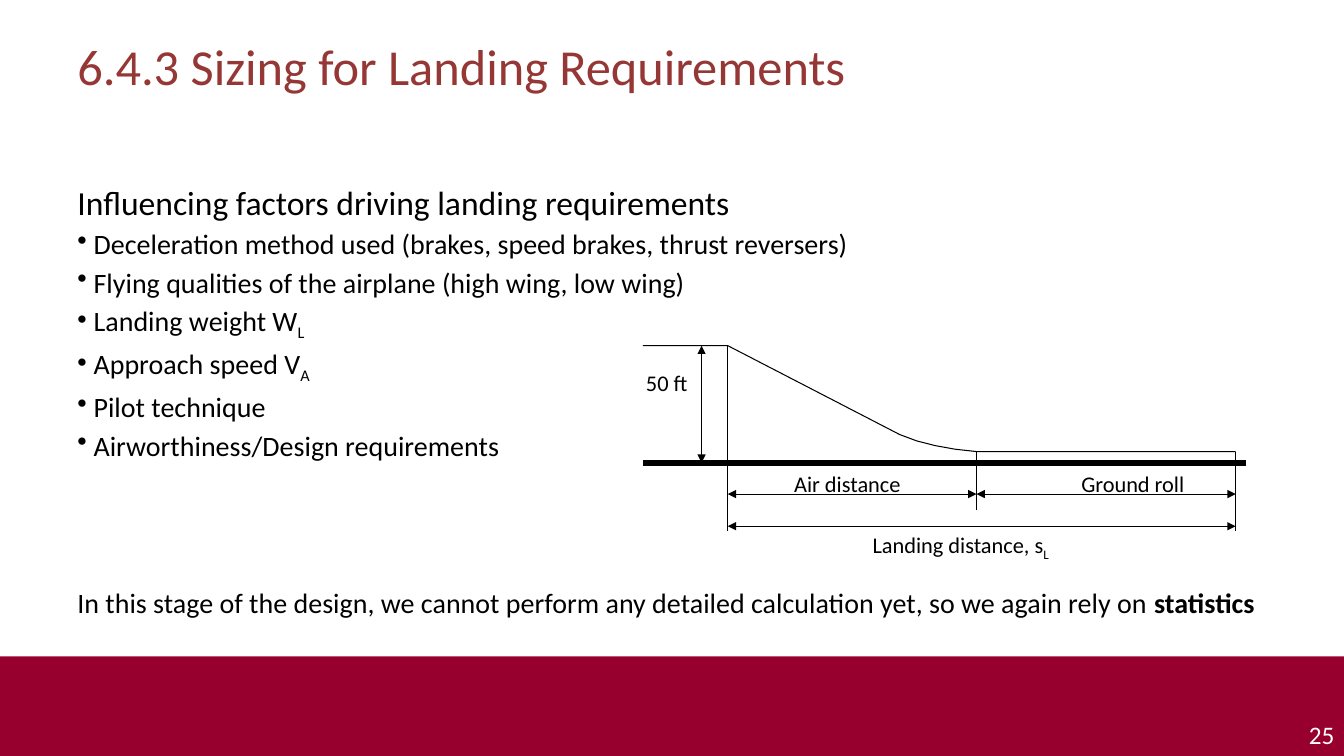
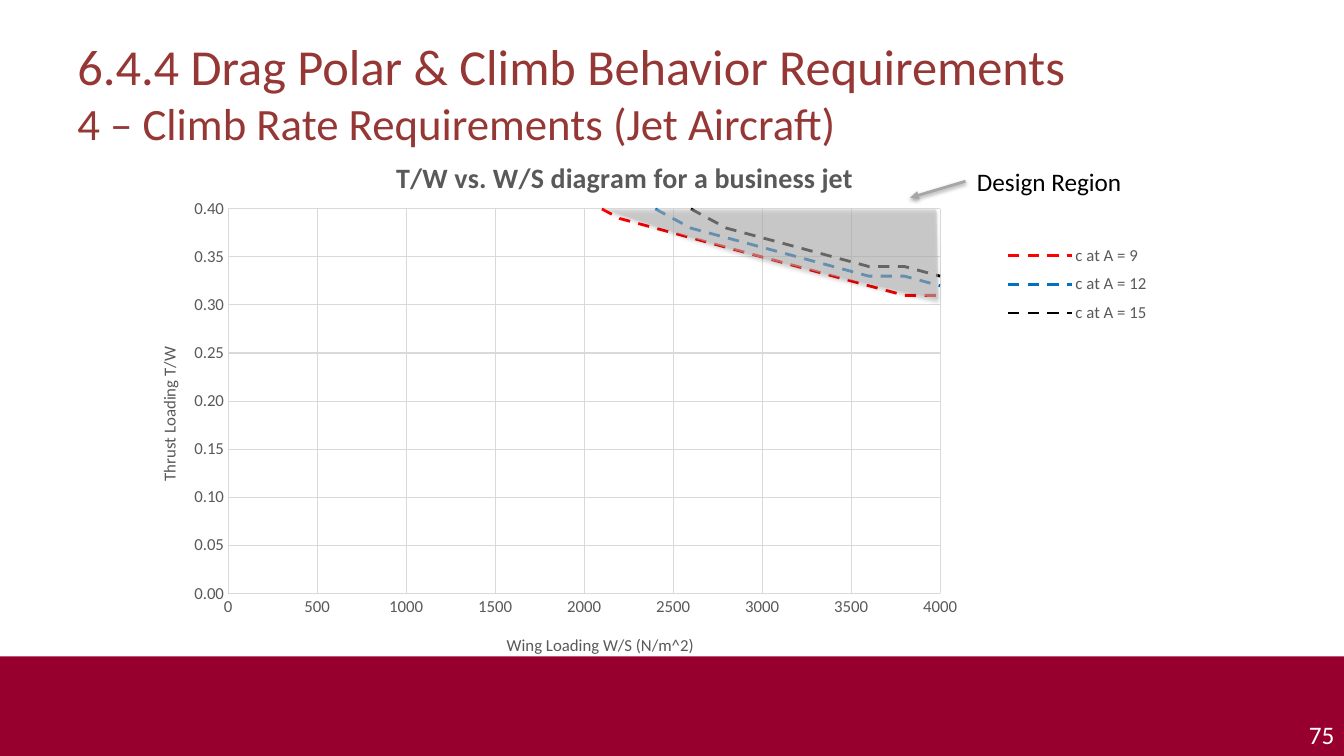
from dataclasses import dataclass

from lxml import etree
from pptx import Presentation
from pptx.chart.data import XyChartData
from pptx.dml.color import RGBColor as RGB
from pptx.enum.chart import XL_CHART_TYPE as Kind, XL_LEGEND_POSITION as Side, XL_TICK_MARK as Tick
from pptx.enum.dml import MSO_LINE as Dash
from pptx.enum.shapes import MSO_CONNECTOR as Conn, MSO_SHAPE as Form
from pptx.enum.text import PP_ALIGN as Align
from pptx.oxml.ns import qn
from pptx.util import Cm, Pt


@dataclass(frozen=True)
class Theme:
    font: str = "Calibri"
    band: str = "97002E"
    title: str = "953735"
    ink: str = "000000"
    white: str = "FFFFFF"
    soft: str = "595959"
    grid: str = "D9D9D9"
    arrow: str = "A6A6A6"
    shade: str = "BFBFBF"
    head: int = 36
    sub: int = 32
    lead: int = 24
    body: int = 20
    note: int = 18
    label: int = 16
    axis: int = 12
    thin: float = 0.75


T = Theme()


def text(slide, box, *paras, align=Align.LEFT, **form):
    """Each paragraph is a tuple of runs; a run is a string or (string, format changes)."""
    shape = slide.shapes.add_textbox(*map(Cm, box))
    frame = shape.text_frame
    frame.word_wrap = True
    for i, runs in enumerate(paras):
        para = frame.paragraphs[0] if i == 0 else frame.add_paragraph()
        para.alignment = align
        for item in runs:
            words, more = (item, {}) if isinstance(item, str) else item
            look = {"size": T.body, "color": T.ink, "bold": False, "low": False} | form | more
            run = para.add_run()
            run.text = words
            font = run.font
            font.name, font.size, font.bold = T.font, Pt(look["size"]), look["bold"]
            font.color.rgb = RGB.from_string(look["color"])
            if look["low"]:
                run._r.get_or_add_rPr().set("baseline", "-25000")
    return shape


def line(slide, x1, y1, x2, y2, width=T.thin, color=T.ink, ends=()):
    """Ends holds headEnd and/or tailEnd, the ends that carry an arrowhead."""
    link = slide.shapes.add_connector(Conn.STRAIGHT, Cm(x1), Cm(y1), Cm(x2), Cm(y2))
    link.line.width = Pt(width)
    link.line.color.rgb = RGB.from_string(color)
    for end in ends:
        etree.SubElement(link.line._get_or_add_ln(), qn("a:" + end)).set("type", "triangle")
    etree.SubElement(link._element.spPr, qn("a:effectLst"))
    return link


deck = Presentation()
deck.slide_width, deck.slide_height = Cm(33.87), Cm(19.05)

# Band, page number and title
pages = []
for num, head in (
    ("25", [("6.4.3 Sizing for Landing Requirements",)]),
    ("75", [("6.4.4 Drag Polar & Climb Behavior Requirements",),
            (("4 – Climb Rate Requirements (Jet Aircraft)", {"size": T.sub}),)]),
):
    page = deck.slides.add_slide(deck.slide_layouts[6])
    band = page.shapes.add_shape(Form.RECTANGLE, 0, Cm(16.54), deck.slide_width, Cm(2.51))
    band.fill.solid()
    band.fill.fore_color.rgb = RGB.from_string(T.band)
    band.line.fill.background()
    band.shadow.inherit = False
    text(page, (32.08, 18.01, 1.8, 1.02), (num,), size=T.note, color=T.white, align=Align.RIGHT)
    text(page, (1.7, 0.76, 30.48, 3.18), *head, size=T.head, color=T.title)
    pages.append(page)
land, climb = pages

# Landing factors
body = text(
    land, (1.7, 4.45, 30.48, 11.4),
    (("Influencing factors driving landing requirements", {"size": T.lead}),),
    ("Deceleration method used (brakes, speed brakes, thrust reversers)",),
    ("Flying qualities of the airplane (high wing, low wing)",),
    ("Landing weight W", ("L", {"low": True})),
    ("Approach speed V", ("A", {"low": True})),
    ("Pilot technique",),
    ("Airworthiness/Design requirements",),
    ("In this stage of the design, we cannot perform any detailed calculation yet, "
     "so we again rely on ", ("statistics", {"bold": True})),
)
paras = body.text_frame.paragraphs
for para in paras[1:-1]:
    para.space_before = Pt(3.5)
    props = para._p.get_or_add_pPr()
    props.set("marL", str(Cm(0.41)))
    props.set("indent", str(Cm(-0.41)))
    etree.SubElement(props, qn("a:buChar")).set("char", "•")
paras[-1].space_before = Pt(88)

# Landing path
left, start, touch, stop = 16.2, 18.34, 24.61, 31.14
top, roll, ground = 8.71, 11.38, 11.66
air, total = 12.45, 13.26
both = ("headEnd", "tailEnd")
line(land, left, ground, 31.4, ground, width=4.5)
track = [(start, top), (22.67, 10.95), (23.1, 11.11), (23.57, 11.23),
         (24.07, 11.32), (touch, roll), (stop, roll)]
build = land.shapes.build_freeform(Cm(left), Cm(top))
build.add_line_segments([(Cm(x), Cm(y)) for x, y in track], close=False)
path = build.convert_to_shape()
path.fill.background()
path.line.color.rgb = RGB.from_string(T.ink)
path.line.width = Pt(T.thin)
path.shadow.inherit = False
for x, y1, y2 in ((start, top, 13.39), (touch, roll, 12.85), (stop, roll, 13.39)):
    line(land, x, y1, x, y2)
for span in ((stop, air, touch, air), (touch, air, start, air),
             (stop, total, start, total), (17.68, top, 17.68, ground)):
    line(land, *span, ends=both)
for box, runs, align in (
    ((27, 11.71, 3.15, 0.94), ("Ground roll",), Align.LEFT),
    ((19.74, 11.71, 3.23, 0.94), ("Air distance",), Align.CENTER),
    ((21.74, 13.26, 5.2, 0.94), ("Landing distance, s", ("L", {"low": True})), Align.LEFT),
    ((16.03, 9.17, 1.8, 0.94), ("50 ft",), Align.LEFT),
):
    text(land, box, runs, size=T.label, align=align)

# Climb chart
curves = (
    ("c at A = 9", "FF0000", (1.18, 0.85, 0.7, 0.62, 0.56, 0.51, 0.48, 0.45, 0.43, 0.41,
                              0.39, 0.38, 0.37, 0.36, 0.35, 0.34, 0.33, 0.32, 0.31, 0.31)),
    ("c at A = 12", "0070C0", (1.25, 0.9, 0.74, 0.65, 0.59, 0.54, 0.5, 0.47, 0.45, 0.43,
                               0.41, 0.4, 0.38, 0.37, 0.36, 0.35, 0.34, 0.33, 0.33, 0.32)),
    ("c at A = 15", "000000", (1.32, 0.94, 0.78, 0.68, 0.61, 0.56, 0.52, 0.49, 0.47, 0.45,
                               0.43, 0.41, 0.4, 0.38, 0.37, 0.36, 0.35, 0.34, 0.34, 0.33)),
)
data = XyChartData()
for name, _, vals in curves:
    row = data.add_series(name)
    for x, y in zip(range(200, 4001, 200), vals):
        row.add_data_point(x, y)
chart = climb.shapes.add_chart(Kind.XY_SCATTER_SMOOTH_NO_MARKERS, Cm(2.77), Cm(3.25),
                               Cm(28.35), Cm(15.04), data).chart
plot = chart.plots[0]
plot.vary_by_categories = False
for row, (_, color, _) in zip(plot.series, curves):
    row.smooth = True
    row.format.line.color.rgb = RGB.from_string(color)
    row.format.line.width = Pt(2)
    row.format.line.dash_style = Dash.DASH

chart.has_title = chart.has_legend = True
key = chart.legend
key.position, key.include_in_layout = Side.RIGHT, False
across, up = chart.category_axis, chart.value_axis
fonts = [chart.font, key.font]
for axis, peak, step, code in ((across, 4000, 500, "0"), (up, 0.4, 0.05, "0.00")):
    axis.minimum_scale, axis.maximum_scale, axis.major_unit = 0, peak, step
    axis.major_tick_mark = axis.minor_tick_mark = Tick.NONE
    axis.has_major_gridlines = axis.has_title = True
    axis.major_gridlines.format.line.color.rgb = RGB.from_string(T.grid)
    axis.major_gridlines.format.line.width = Pt(T.thin)
    axis.format.line.fill.background()
    axis.tick_labels.number_format = code
    axis.tick_labels.number_format_is_linked = False
    fonts.append(axis.tick_labels.font)
for owner, words, size, bold in (
    (chart.chart_title, "T/W vs. W/S diagram for a business jet", T.body, True),
    (across.axis_title, "Wing Loading W/S (N/m^2)", T.axis, False),
    (up.axis_title, "Thrust Loading T/W", T.axis, False),
):
    owner.text_frame.text = words
    font = owner.text_frame.paragraphs[0].runs[0].font
    font.name, font.size, font.bold = T.font, Pt(size), bold
    font.color.rgb = RGB.from_string(T.soft)
for font in fonts:
    font.name, font.size = T.font, Pt(T.axis)
    font.color.rgb = RGB.from_string(T.soft)

# Places within the chart, as shares of its width and height
area = chart._chartSpace.chart.plotArea
for part, spot in (
    (area, {"x": 0.1, "y": 0.13, "w": 0.63, "h": 0.64} | {"x": 0.105, "y": 0.134, "w": 0.633, "h": 0.644}),
    (key._element, {"x": 0.79, "y": 0.18, "w": 0.14, "h": 0.16}),
    (chart.chart_title._element, {"x": 0.25, "y": 0.04}),
    (across.axis_title._element, {"x": 0.35, "y": 0.84}),
    (up.axis_title._element, {"x": 0.04, "y": 0.36}),
):
    for old in part.findall(qn("c:layout")):
        part.remove(old)
    layout = etree.Element(qn("c:layout"))
    manual = etree.SubElement(layout, qn("c:manualLayout"))
    if part is area:
        etree.SubElement(manual, qn("c:layoutTarget")).set("val", "inner")
    for mode in ("xMode", "yMode"):
        etree.SubElement(manual, qn("c:" + mode)).set("val", "edge")
    for side, share in spot.items():
        etree.SubElement(manual, qn("c:" + side)).set("val", str(share))
    over = part.find(qn("c:overlay"))
    if over is None:
        part.insert(0, layout)
    else:
        over.addprevious(layout)
clear = etree.Element(qn("c:spPr"))
etree.SubElement(clear, qn("a:noFill"))
etree.SubElement(etree.SubElement(clear, qn("a:ln")), qn("a:noFill"))
chart._chartSpace.find(qn("c:txPr")).addprevious(clear)

# Design region
edge = [(23.6, 5.28), (15.24, 5.28), (17.26, 5.94), (19.15, 6.49), (21.18, 7)]
build = climb.shapes.build_freeform(Cm(23.65), Cm(7.54))
build.add_line_segments([(Cm(x), Cm(y)) for x, y in edge], close=True)
zone = build.convert_to_shape()
zone.fill.solid()
zone.fill.fore_color.rgb = RGB.from_string(T.shade)
etree.SubElement(zone._element.spPr.find(".//" + qn("a:srgbClr")), qn("a:alpha")).set("val", "53000")
zone.line.fill.background()
zone.shadow.inherit = False
label = text(climb, (24.33, 4.06, 4.22, 1.02), ("Design Region",), size=T.note, align=Align.CENTER)
arrow = line(climb, 24.33, 4.57, 22.94, 4.98, width=2, color=T.arrow, ends=("tailEnd",))
arrow.begin_connect(label, 1)
for shape, dist, alpha in ((zone, 1.8, 35000), (arrow, 1.6, 38000)):
    glow = etree.SubElement(shape._element.spPr.find(qn("a:effectLst")), qn("a:outerShdw"),
                            blurRad=str(Pt(3.1)), dist=str(Pt(dist)), dir="5400000", rotWithShape="0")
    tint = etree.SubElement(glow, qn("a:srgbClr"), val=T.ink)
    etree.SubElement(tint, qn("a:alpha"), val=str(alpha))

deck.save("out.pptx")
